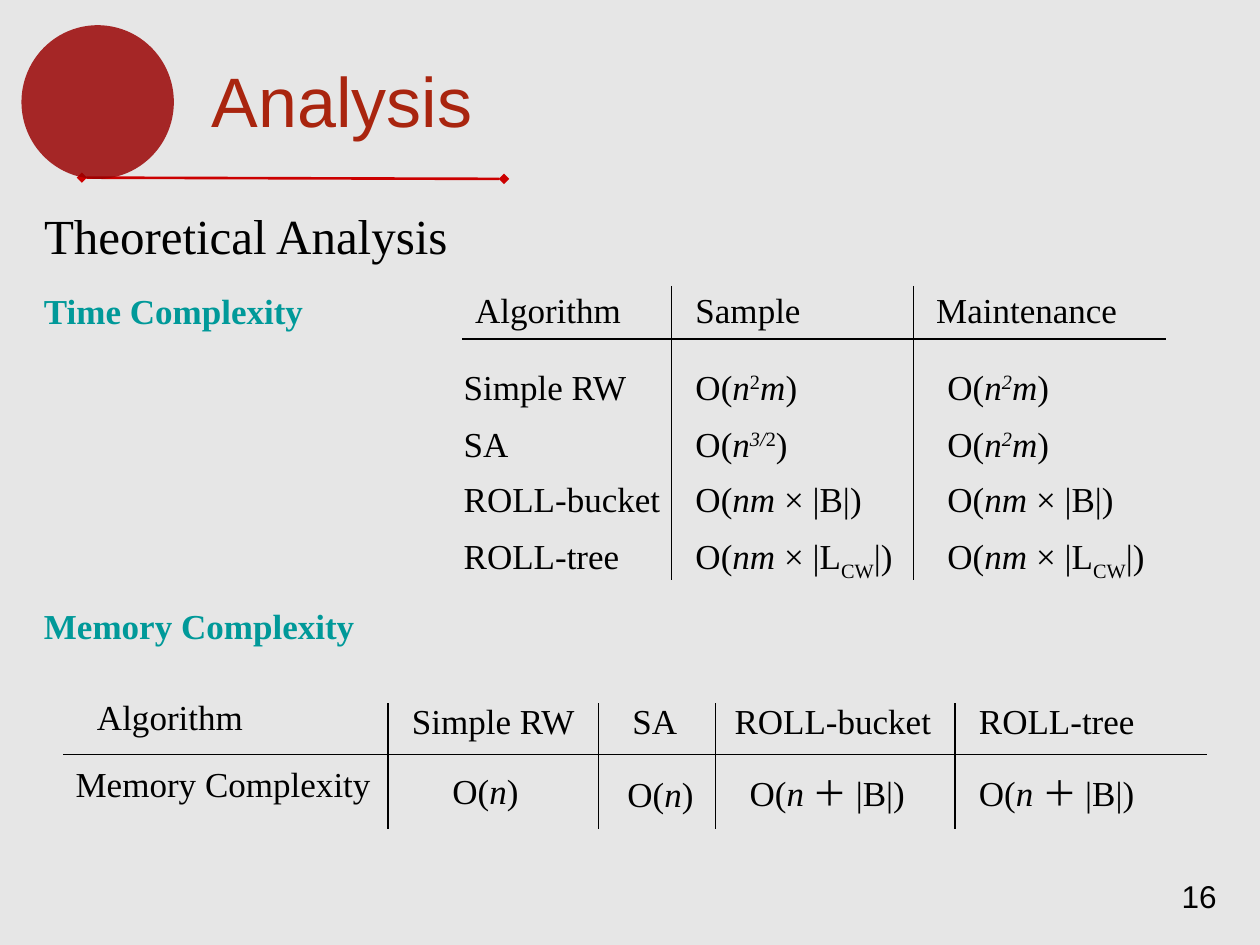
from dataclasses import dataclass
from itertools import accumulate
from typing import NamedTuple

import pptx
import pptx.dml.color
import pptx.enum.shapes
import pptx.enum.text
import pptx.oxml
import pptx.oxml.ns
import pptx.util

Inches = pptx.util.Inches
Color = pptx.dml.color.RGBColor.from_string
qn = pptx.oxml.ns.qn
NO_STYLE = "{2D5ABB26-0587-4C30-8999-92F81FD0307C}"


@dataclass(frozen=True)
class Theme:
    back: str = "E6E6E6"
    ink: str = "000000"
    title: str = "A9250F"
    accent: str = "009999"
    disc: str = "990000"
    rule: str = "CC0000"
    sans: str = "Arial"
    serif: str = "Times New Roman"
    title_size: int = 40
    lead_size: int = 28
    text_size: int = 20
    page_size: int = 18


class Run(NamedTuple):
    text: str
    slant: bool = False
    shift: int = 0  # percent above (+) or below (-) the base line


class Cell(NamedTuple):
    runs: list
    left: float
    top: float


class Label(NamedTuple):
    text: str
    box: tuple
    font: str
    size: int
    color: str
    bold: bool = False


class Grid(NamedTuple):
    left: float
    top: float
    cols: list
    rows: list
    cells: list
    span: tuple  # top and bottom of the upright rules


T = Theme()


def make(tag: str, parent, **attrs) -> None:
    """Append a drawing element to parent."""
    item = pptx.oxml.parse_xml(
        f'<a:{tag} xmlns:a="http://schemas.openxmlformats.org/drawingml/2006/main"/>')
    for key, val in attrs.items():
        item.set(key, str(val))
    parent.append(item)


def style(run, font: str, size: int, color: str, bold: bool = False) -> None:
    run.font.name, run.font.size = font, pptx.util.Pt(size)
    run.font.color.rgb, run.font.bold = Color(color), bold


def write(shape, label: Label) -> None:
    """Fill a text box or placeholder with one plain line."""
    shape.left, shape.top, shape.width, shape.height = map(Inches, label.box)
    frame = shape.text_frame
    frame.text = label.text
    frame.word_wrap = True
    frame.auto_size = pptx.enum.text.MSO_AUTO_SIZE.NONE
    frame.vertical_anchor = pptx.enum.text.MSO_ANCHOR.TOP
    para = frame.paragraphs[0]
    para.alignment = pptx.enum.text.PP_ALIGN.LEFT
    para.space_before = pptx.util.Pt(0)
    style(para.runs[0], label.font, label.size, label.color, label.bold)


def draw_line(slide, ends: tuple, color: str, width: float, tip: str = "") -> None:
    line = slide.shapes.add_connector(
        pptx.enum.shapes.MSO_CONNECTOR.STRAIGHT, *map(Inches, ends))
    line.line.color.rgb, line.line.width = Color(color), pptx.util.Pt(width)
    if tip:
        for end in ("headEnd", "tailEnd"):
            make(end, line.line._get_or_add_ln(), type=tip)
    make("effectLst", line._element.spPr)


def fill_cell(cell, data: Cell) -> None:
    cell.margin_left, cell.margin_top = Inches(data.left), Inches(data.top)
    cell.margin_right = cell.margin_bottom = 0
    cell.vertical_anchor = pptx.enum.text.MSO_ANCHOR.TOP
    cell.fill.background()
    para = cell.text_frame.paragraphs[0]
    for part in data.runs:
        run = para.add_run()
        run.text = part.text
        style(run, T.serif, T.text_size, T.ink)
        run.font.italic = part.slant
        if part.shift:
            run.font._element.set("baseline", str(part.shift * 1000))


def draw_grid(slide, grid: Grid) -> None:
    """Draw a table with rules between columns and below its header."""
    wide = sum(grid.cols)
    table = slide.shapes.add_table(
        len(grid.rows), len(grid.cols), Inches(grid.left), Inches(grid.top),
        Inches(wide), Inches(sum(grid.rows))).table
    table.first_row = table.horz_banding = False
    table._tbl.tblPr.find(qn("a:tableStyleId")).text = NO_STYLE
    for col, width in zip(table.columns, grid.cols):
        col.width = Inches(width)
    for row, height in zip(table.rows, grid.rows):
        row.height = Inches(height)
    for r, line in enumerate(grid.cells):
        for c, data in enumerate(line):
            fill_cell(table.cell(r, c), data)

    base = grid.top + grid.rows[0]
    draw_line(slide, (grid.left, base, grid.left + wide, base), T.ink, 0.75)
    for step in accumulate(grid.cols[:-1]):
        x = grid.left + step
        draw_line(slide, (x, grid.span[0], x, grid.span[1]), T.ink, 0.75)


def draw_mark(slide) -> None:
    """Draw the title rule and the disc over it."""
    draw_line(slide, (0.65, 1.41, 4, 1.42), T.rule, 1.5, "diamond")
    disc = slide.shapes.add_shape(
        pptx.enum.shapes.MSO_SHAPE.OVAL, *map(Inches, (0.17, 0.2, 1.21, 1.22)))
    disc.shadow.inherit = False
    disc.fill.solid()
    disc.fill.fore_color.rgb = Color(T.disc)
    make("alpha", disc._element.spPr.find(".//" + qn("a:srgbClr")), val=83000)
    disc.line.fill.background()


def cost(*parts: Run) -> list:
    return [Run("O("), *parts, Run(")")]


def main() -> None:
    deck = pptx.Presentation()
    deck.slide_width, deck.slide_height = Inches(10), Inches(7.5)
    slide = deck.slides.add_slide(deck.slide_layouts[1])
    slide.background.fill.solid()
    slide.background.fill.fore_color.rgb = Color(T.back)
    draw_mark(slide)

    # Title and lead line
    write(slide.shapes.title, Label(
        "Analysis", (1.58, 0.41, 2.5, 0.77), T.sans, T.title_size, T.title))
    lead = slide.placeholders[1]
    write(lead, Label("Theoretical Analysis", (0.25, 1.58, 3.92, 0.57),
                      T.serif, T.lead_size, T.ink))
    props = lead.text_frame.paragraphs[0]._p.get_or_add_pPr()
    props.set("marL", "0")
    props.set("indent", "0")
    make("buNone", props)

    # Section heads and page number
    for label in (
        Label("Time Complexity", (0.25, 2.25, 2.33, 0.44),
              T.serif, T.text_size, T.accent, True),
        Label("Memory Complexity", (0.25, 4.75, 2.75, 0.44),
              T.serif, T.text_size, T.accent, True),
        Label("16", (9.28, 6.91, 0.72, 0.4), T.sans, T.page_size, T.ink),
    ):
        write(slide.shapes.add_textbox(0, 0, 0, 0), label)

    # Costs shared by the tables
    n, m, nm = Run("n", True), Run("m", True), Run("nm ", True)
    square = cost(n, Run("2", True, 30), m)
    bucket = cost(nm, Run("× |B|"))
    tree = cost(nm, Run("× |L"), Run("CW", shift=-25), Run("|"))
    total = cost(Run("n ", True), Run("＋ |B|"))

    # Time table
    body = [
        ("Simple RW", cost(n, Run("2", shift=30), m), square),
        ("SA", cost(n, Run("3/", True, 30), Run("2", shift=30)), square),
        ("ROLL-bucket", bucket, bucket),
        ("ROLL-tree", tree, tree),
    ]
    heads = zip(("Algorithm", "Sample", "Maintenance"), (0.1, 0.19, 0.18))
    cells = [[Cell([Run(text)], left, 0.05) for text, left in heads]]
    for i, (name, sample, upkeep) in enumerate(body):
        top = 0.08 if i else 0.24
        cells.append([Cell([Run(name)], 0.01, top), Cell(sample, 0.19, top),
                      Cell(upkeep, 0.27, top)])
    draw_grid(slide, Grid(3.67, 2.27, [1.66, 1.92, 2],
                          [0.42, 0.61, 0.44, 0.45, 0.44], cells, (2.27, 4.6)))

    # Memory table
    names = ("Algorithm", "Simple RW", "SA", "ROLL-bucket", "ROLL-tree")
    lefts = (0.27, 0.19, 0.27, 0.15, 0.19)
    head = [Cell([Run(name)], left, 0.03 if i else 0)
            for i, (name, left) in enumerate(zip(names, lefts))]
    costs = [Cell([Run("Memory Complexity")], 0.1, 0.09), Cell(cost(n), 0.51, 0.15),
             Cell(cost(n), 0.23, 0.17), Cell(total, 0.27, 0.09), Cell(total, 0.19, 0.09)]
    draw_grid(slide, Grid(0.5, 5.55, [2.58, 1.67, 0.93, 1.9, 2],
                          [0.44, 0.59], [head, costs], (5.58, 6.58)))
    deck.save("out.pptx")


if __name__ == "__main__":
    main()
